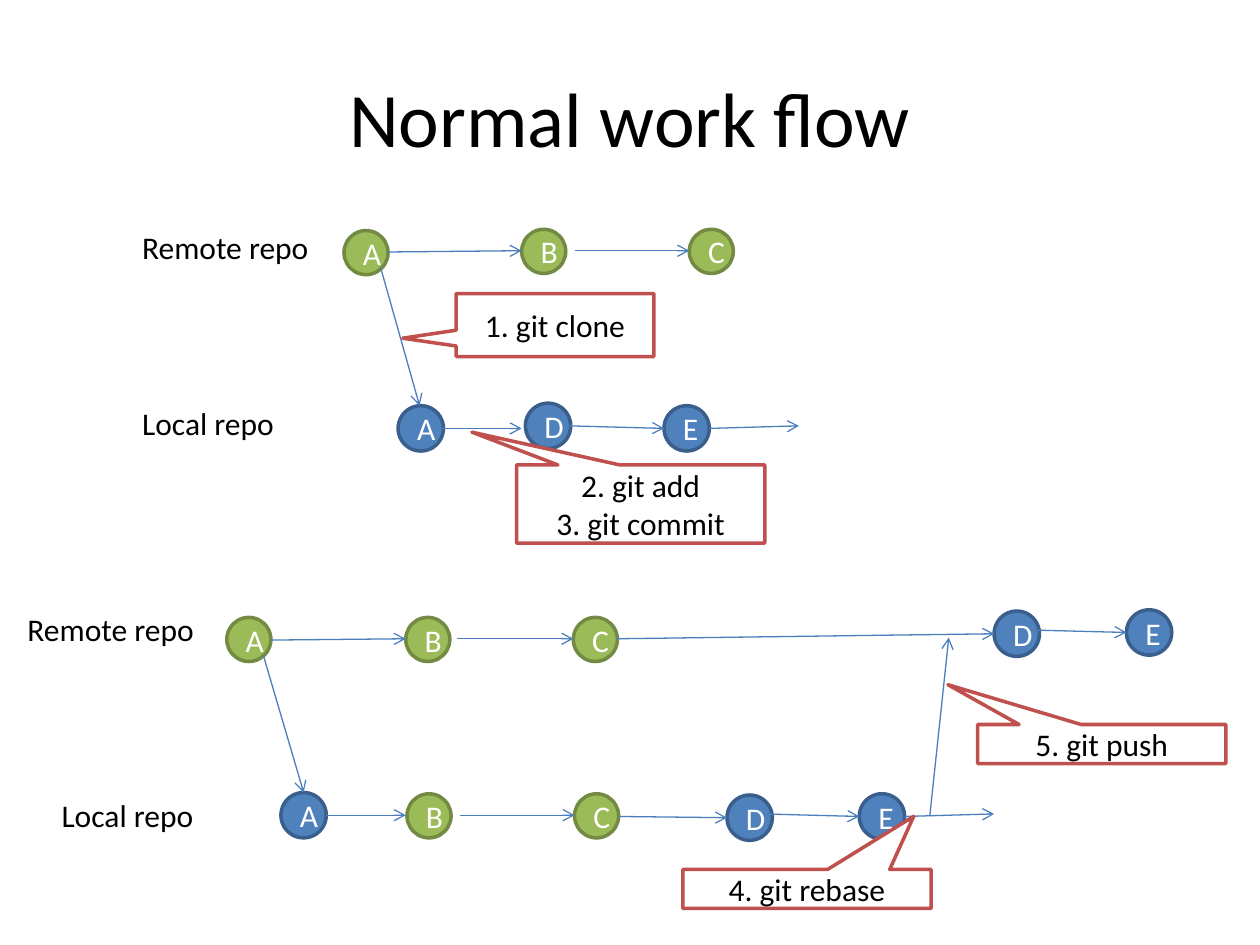
from dataclasses import dataclass

from lxml.etree import SubElement
from pptx import Presentation
from pptx.dml.color import RGBColor
from pptx.enum.shapes import MSO_CONNECTOR, MSO_SHAPE
from pptx.enum.text import MSO_ANCHOR, MSO_AUTO_SIZE, PP_ALIGN
from pptx.oxml.ns import qn
from pptx.util import Inches, Pt


@dataclass(frozen=True)
class Theme:
    font: str = "Calibri"
    title_size: float = 44
    body_size: float = 18
    outline_width: float = 2
    arrow_width: float = 0.75
    ink: str = "000000"
    paper: str = "FFFFFF"
    remote: tuple = ("9BBB59", "738A42", 0.35)
    local: tuple = ("4F81BD", "3A5F8C", 0.36)
    callout_line: str = "C0504D"
    arrow: str = "4B7EBC"


def write_text(frame, text, *, font, size, color, align=PP_ALIGN.CENTER,
               anchor=MSO_ANCHOR.MIDDLE, wrap=True):
    frame.word_wrap = wrap
    frame.vertical_anchor = anchor
    frame.text = text
    for paragraph in frame.paragraphs:
        paragraph.alignment = align
        for run in paragraph.runs:
            run.font.name = font
            run.font.size = Pt(size)
            run.font.color.rgb = RGBColor.from_string(color)


class WorkflowSlide:
    def __init__(self, slide, theme):
        self.slide = slide
        self.theme = theme

    def title(self, text, left, top, width, height):
        theme = self.theme
        box = self.slide.shapes.add_textbox(*map(Inches, (left, top, width, height)))
        write_text(box.text_frame, text, font=theme.font, size=theme.title_size,
                   color=theme.ink)

    def label(self, text, left, top, width):
        theme = self.theme
        box = self.slide.shapes.add_textbox(*map(Inches, (left, top, width, 0.4)))
        write_text(box.text_frame, text, font=theme.font, size=theme.body_size,
                   color=theme.ink, align=PP_ALIGN.LEFT, anchor=MSO_ANCHOR.TOP,
                   wrap=False)
        box.text_frame.auto_size = MSO_AUTO_SIZE.SHAPE_TO_FIT_TEXT

    def outlined_shape(self, kind, text, box, fill, line, color):
        theme = self.theme
        shape = self.slide.shapes.add_shape(kind, *map(Inches, box))
        shape.shadow.inherit = False
        shape.fill.solid()
        shape.fill.fore_color.rgb = RGBColor.from_string(fill)
        shape.line.color.rgb = RGBColor.from_string(line)
        shape.line.width = Pt(theme.outline_width)
        write_text(shape.text_frame, text, font=theme.font, size=theme.body_size,
                   color=color)
        return shape

    def commit(self, text, left, top, style):
        fill, line, size = style
        self.outlined_shape(MSO_SHAPE.OVAL, text, (left, top, size, size),
                            fill, line, self.theme.paper)

    def callout(self, text, box, pointer):
        theme = self.theme
        shape = self.outlined_shape(MSO_SHAPE.RECTANGULAR_CALLOUT, text, box,
                                    theme.paper, theme.callout_line, theme.ink)
        for index, value in enumerate(pointer):
            shape.adjustments[index] = value

    def arrow(self, start, end):
        connector = self.slide.shapes.add_connector(
            MSO_CONNECTOR.STRAIGHT, *map(Inches, start + end))
        connector.line.color.rgb = RGBColor.from_string(self.theme.arrow)
        connector.line.width = Pt(self.theme.arrow_width)
        SubElement(connector.line._get_or_add_ln(), qn("a:tailEnd"), type="arrow")
        SubElement(connector._element.spPr, qn("a:effectLst"))


REMOTE_COMMITS = [
    ("A", 2.73, 1.83), ("B", 4.14, 1.82), ("C", 5.47, 1.82),
    ("A", 1.8, 4.9), ("B", 3.22, 4.9), ("C", 4.55, 4.9),
    ("B", 3.23, 6.3), ("C", 4.56, 6.3),
]
LOCAL_COMMITS = [
    ("A", 3.16, 3.22), ("D", 4.17, 3.2), ("E", 5.27, 3.22),
    ("A", 2.23, 6.29), ("D", 5.77, 6.31), ("E", 6.82, 6.3),
    ("D", 7.89, 4.85), ("E", 8.94, 4.84),
]
ARROWS = [
    ((3.07, 2), (4.14, 1.99)), ((4.56, 1.99), (5.47, 1.99)),
    ((3.02, 2.12), (3.33, 3.22)),
    ((3.51, 3.4), (4.14, 3.4)), ((4.52, 3.38), (5.27, 3.4)),
    ((5.63, 3.4), (6.34, 3.38)),
    ((2.15, 5.08), (3.22, 5.07)), ((3.63, 5.07), (4.55, 5.07)),
    ((4.89, 5.07), (7.89, 5.03)), ((8.18, 5), (8.94, 5.02)),
    ((2.09, 5.2), (2.41, 6.29)),
    ((2.59, 6.47), (3.22, 6.47)), ((3.65, 6.47), (4.56, 6.47)),
    ((4.91, 6.48), (5.77, 6.49)), ((6.06, 6.46), (6.82, 6.48)),
    ((7.18, 6.48), (7.89, 6.46)), ((7.38, 6.47), (7.53, 5.06)),
]
CALLOUTS = [
    ("1. git clone", (3.62, 2.33, 1.57, 0.5), (-0.77, 0.21)),
    ("2. git add\n3. git commit", (4.1, 3.69, 1.97, 0.62), (-0.68, -0.92)),
    ("4. git rebase", (5.42, 6.9, 1.97, 0.31), (0.43, -1.86)),
    ("5. git push", (7.76, 5.75, 1.97, 0.31), (-0.62, -1.52)),
]
LABELS = [
    ("Remote repo", 1.03, 1.76, 1.54), ("Local repo", 1.03, 3.16, 1.26),
    ("Remote repo", 0.12, 4.79, 1.54), ("Local repo", 0.39, 6.27, 1.26),
]


def main():
    presentation = Presentation()
    presentation.slide_width = Inches(10)
    presentation.slide_height = Inches(7.5)
    theme = Theme()
    workflow = WorkflowSlide(
        presentation.slides.add_slide(presentation.slide_layouts[6]), theme)

    workflow.title("Normal work flow", 0.5, 0.3, 9, 1.25)
    for commits, style in ((REMOTE_COMMITS, theme.remote), (LOCAL_COMMITS, theme.local)):
        for commit in commits:
            workflow.commit(*commit, style)
    for start, end in ARROWS:
        workflow.arrow(start, end)
    for callout in CALLOUTS:
        workflow.callout(*callout)
    for label in LABELS:
        workflow.label(*label)

    presentation.save("out.pptx")


if __name__ == "__main__":
    main()
